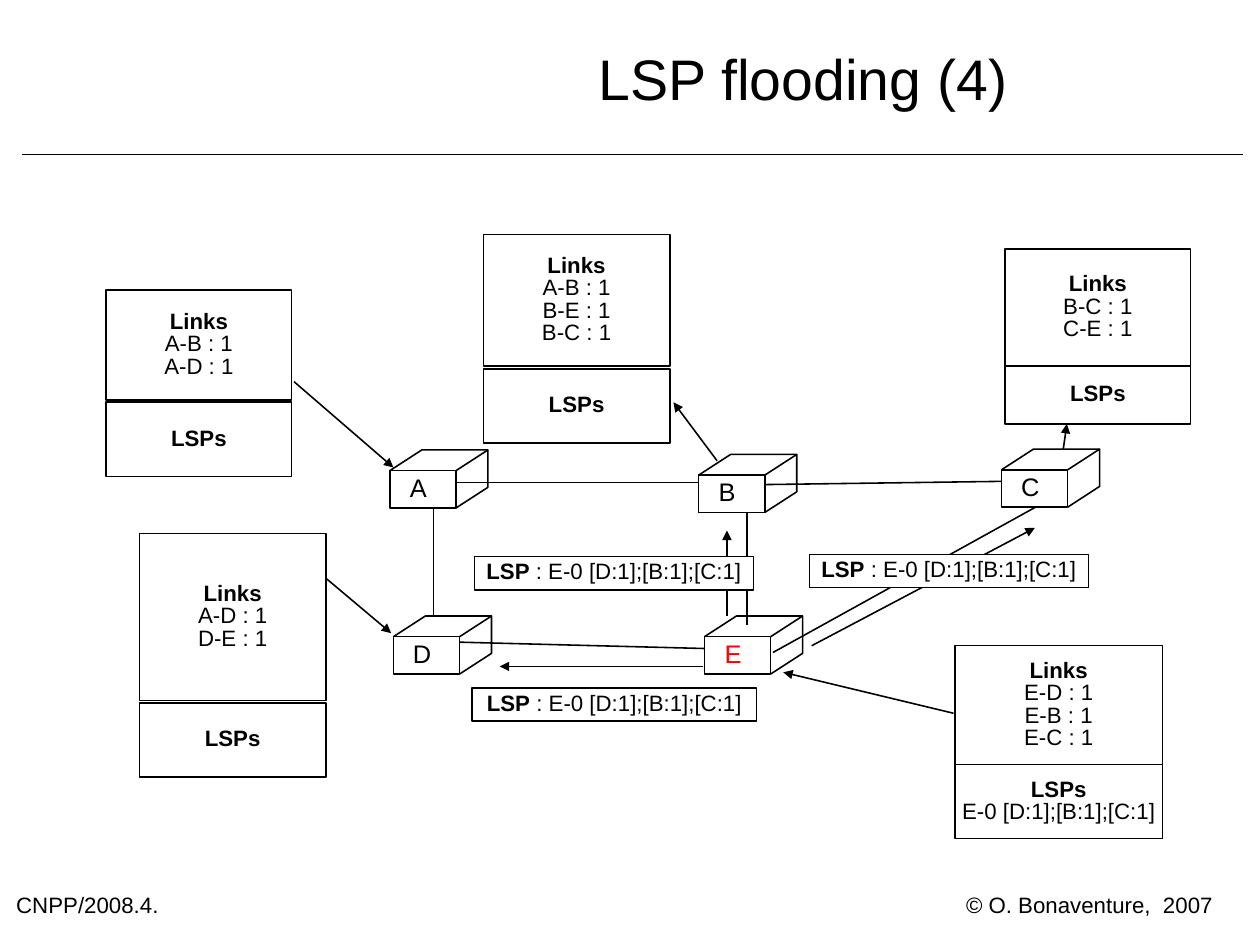
import dataclasses

import lxml.etree
import pptx
import pptx.dml.color
import pptx.enum.shapes
import pptx.enum.text
import pptx.oxml.ns
import pptx.util

Cm = pptx.util.Cm
Pt = pptx.util.Pt
RGB = pptx.dml.color.RGBColor
ALIGN = pptx.enum.text.PP_ALIGN
ANCHOR = pptx.enum.text.MSO_ANCHOR
SHAPE = pptx.enum.shapes.MSO_SHAPE
STRAIGHT = pptx.enum.shapes.MSO_CONNECTOR.STRAIGHT
qn = pptx.oxml.ns.qn


@dataclasses.dataclass(frozen=True)
class Theme:
    ink: RGB = RGB(0, 0, 0)
    paper: RGB = RGB(255, 255, 255)
    alert: RGB = RGB(255, 0, 0)
    font: str = "Arial"
    title: Pt = Pt(36)
    node: Pt = Pt(16)
    body: Pt = Pt(14)
    rule: Pt = Pt(1)
    lead: float = 0.84


THEME = Theme()
LSP = "E-0 [D:1];[B:1];[C:1]"

# left, top of each front face
ROUTERS = {
    "A": (8.66, 10.46),
    "B": (15.52, 10.56),
    "C": (22.25, 10.44),
    "D": (8.74, 14.15),
    "E": (15.65, 14.15),
}
FACE = (1.47, 0.83)
DEPTH = (0.71, 0.46)

LINKS = [
    (9.63, 11.25, 9.63, 13.69),
    (10.19, 14.27, 16.38, 14.43),
    (10.06, 10.72, 16.31, 10.72),
    (16.59, 11.2, 16.59, 13.89),
    (16.87, 10.77, 22.76, 10.69),
    (17.17, 14.5, 23.04, 11.25),
]
ARROWS = [
    (6.53, 8.48, 8.74, 10.39),
    (15.93, 10.24, 14.96, 8.94),
    (23.62, 9.98, 23.7, 9.42),
    (7.24, 12.85, 8.69, 14.07),
    (21.18, 15.85, 17.4, 14.94),
    (18.03, 14.35, 22.99, 11.73),
    (15.62, 14.81, 11.1, 14.81),
    (16.15, 13.69, 16.15, 11.79),
]
# left, width, (top, height) of links, (top, height) of LSPs, links, LSPs
TABLES = [
    (2.36, 4.12, (6.45, 2.44), (8.94, 1.65), ["A-B", "A-D"], []),
    (10.74, 4.14, (5.21, 2.92), (8.2, 1.65), ["A-B", "B-E", "B-C"], []),
    (22.33, 4.12, (5.54, 2.59), (8.15, 1.27), ["B-C", "C-E"], []),
    (3.1, 4.14, (11.86, 3.71), (15.62, 1.65), ["A-D", "D-E"], []),
    (21.21, 4.62, (14.35, 2.64), (16.99, 1.65), ["E-D", "E-B", "E-C"], [LSP]),
]
LABELS = [
    (10.54, 12.37, 6.2, 0.74),
    (17.98, 12.32, 6.2, 0.74),
    (10.49, 15.29, 6.32, 0.74),
]


def style(item, looks):
    for name, value in looks.items():
        setattr(item, name, value)


def write(shape, lines, size=THEME.body, color=THEME.ink, align=ALIGN.CENTER,
          anchor=ANCHOR.MIDDLE, wrap=True):
    """Fill a shape with lines, each a list of (text, bold) runs."""
    frame = shape.text_frame
    style(frame, dict(margin_left=0, margin_right=0, margin_top=0,
                      margin_bottom=0, word_wrap=wrap, vertical_anchor=anchor))
    for i, runs in enumerate(lines):
        para = frame.paragraphs[0] if i == 0 else frame.add_paragraph()
        style(para, dict(alignment=align, line_spacing=THEME.lead))
        for text, bold in runs:
            run = para.add_run()
            run.text = text
            style(run.font, dict(name=THEME.font, size=size, bold=bold))
            run.font.color.rgb = color


def ink(shape):
    shape.line.color.rgb = THEME.ink
    shape.line.width = THEME.rule


def add_text(slide, area, text, **looks):
    box = slide.shapes.add_textbox(*map(Cm, area))
    write(box, [[(text, False)]], **looks)


def add_box(slide, area, lines, **looks):
    box = slide.shapes.add_shape(SHAPE.RECTANGLE, *map(Cm, area))
    box.shadow.inherit = False
    box.fill.solid()
    box.fill.fore_color.rgb = THEME.paper
    ink(box)
    write(box, lines, **looks)
    return box


def add_line(slide, ends, arrow=False):
    line = slide.shapes.add_connector(STRAIGHT, *map(Cm, ends))
    ink(line)
    props = line.element.spPr
    if arrow:
        lxml.etree.SubElement(props.find(qn("a:ln")), qn("a:tailEnd"),
                              type="triangle")
    lxml.etree.SubElement(props, qn("a:effectLst"))


def add_router(slide, name, left, top):
    """Draw a white front face with the open edges of a cube behind it."""
    wide, high = FACE
    dx, dy = DEPTH
    right, base = left + wide, top + high

    def point(x, y):
        return Cm(x), Cm(y)

    path = slide.shapes.build_freeform(*point(left, top))
    path.add_line_segments([
        point(left + dx, top - dy), point(right + dx, top - dy),
        point(right + dx, base - dy), point(right, base),
    ], close=False)
    path.move_to(*point(right, top))
    path.add_line_segments([point(right + dx, top - dy)], close=False)
    edges = path.convert_to_shape()
    edges.shadow.inherit = False
    edges.fill.background()
    ink(edges)

    color = THEME.alert if name == "E" else THEME.ink
    face = add_box(slide, (left, top, wide, high), [[(name, False)]],
                   size=THEME.node, color=color)
    face.text_frame.margin_right = Cm(0.2)


def add_table(slide, left, width, upper, lower, links, lsps):
    """Stack the box of known links on the box of received LSPs."""
    costs = [f"{link} : 1" for link in links]
    for (top, high), head, rows in ((upper, "Links", costs),
                                    (lower, "LSPs", lsps)):
        lines = [[(head, True)]] + [[(row, False)] for row in rows]
        add_box(slide, (left, top, width, high), lines)


def main():
    deck = pptx.Presentation()
    style(deck, dict(slide_width=Cm(27.99), slide_height=Cm(21)))
    slide = deck.slides.add_slide(deck.slide_layouts[6])

    add_line(slide, (0.48, 3.43, 27.61, 3.43))
    add_text(slide, (9.47, 0, 16.74, 3.71), "LSP flooding (4)",
             size=THEME.title)
    foot = dict(align=ALIGN.LEFT, anchor=ANCHOR.TOP, wrap=False)
    add_text(slide, (0.36, 19.91, 4.27, 0.61), "CNPP/2008.4.", **foot)
    add_text(slide, (21.46, 19.91, 5.49, 0.51),
             "© O. Bonaventure,  2007", **foot)

    for ends in LINKS:
        add_line(slide, ends)
    for name, spot in ROUTERS.items():
        add_router(slide, name, *spot)
    for table in TABLES:
        add_table(slide, *table)
    for ends in ARROWS:
        add_line(slide, ends, arrow=True)
    for area in LABELS:
        add_box(slide, area, [[("LSP", True), (f" : {LSP}", False)]])

    deck.save("out.pptx")


if __name__ == "__main__":
    main()
